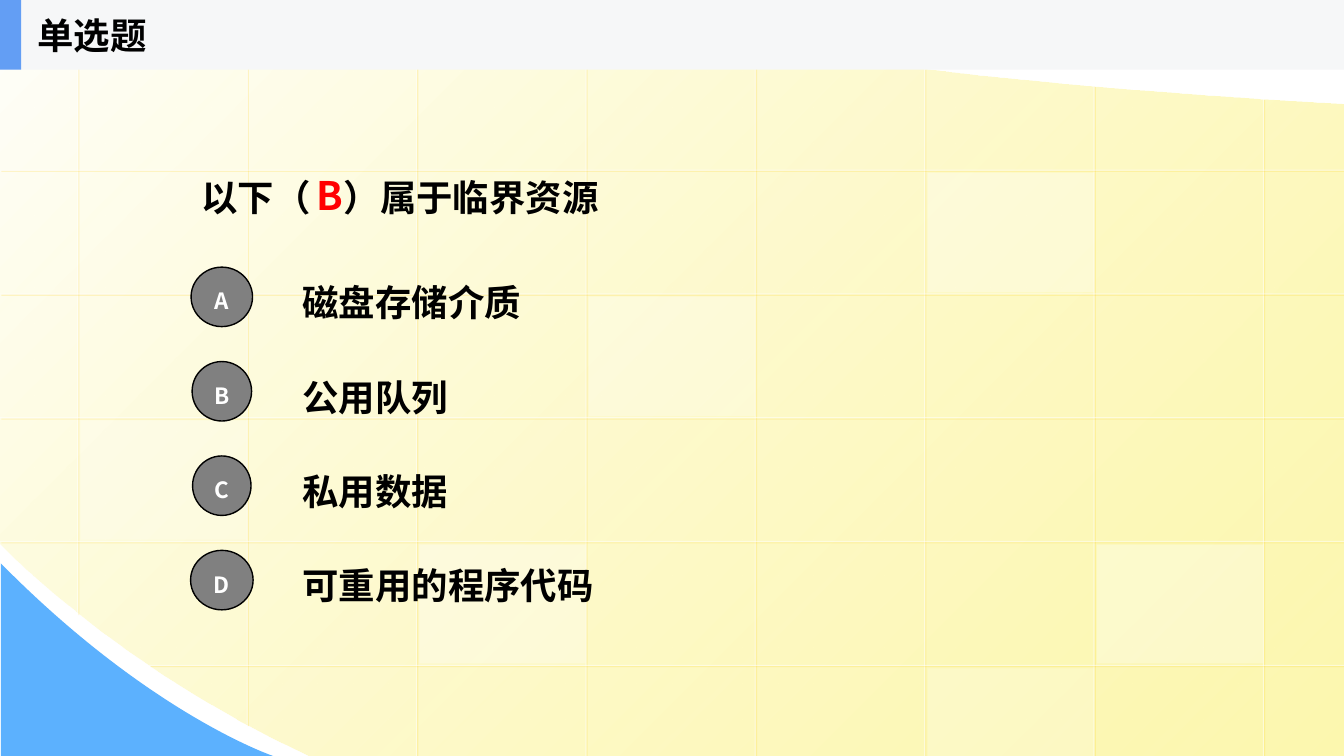
from dataclasses import dataclass

from lxml.etree import SubElement
from pptx import Presentation
from pptx.dml.color import RGBColor
from pptx.enum.shapes import MSO_CONNECTOR, MSO_SHAPE
from pptx.enum.text import MSO_ANCHOR, MSO_AUTO_SIZE, PP_ALIGN
from pptx.oxml.ns import qn
from pptx.shapes.base import BaseShape
from pptx.slide import Slide
from pptx.text.text import TextFrame, _Run
from pptx.util import Inches, Pt

WIDTH, HEIGHT = 13.33, 7.5
COLUMN, FIRST_COLUMN = 1.68, 0.77
FIRST_ROW, LAST_ROW = 0.46, 6.6
ROW = (LAST_ROW - FIRST_ROW) / 5
GUTTER = 0.03
HEADER_HEIGHT = 0.69
FIRST_BADGE, LAST_BADGE = 2.65, 5.46
BADGE_CENTER, BADGE_HEIGHT = 2.2, 0.59
FONT = "Noto Sans CJK SC"

Point = tuple[float, float]


@dataclass(frozen=True)
class Segment:
    end: Point
    controls: tuple[Point, ...] = ()


@dataclass(frozen=True)
class Tile:
    column: int
    row: int
    opacity: int


@dataclass(frozen=True)
class Option:
    letter: str
    text: str
    badge_width: float


PANEL = [Segment((0, 5.39)),
         Segment((3.07, HEIGHT), ((0, 5.39), (1.15, 6.61))),
         Segment((WIDTH, HEIGHT)),
         Segment((WIDTH, 1.04)),
         Segment((5.61, 0), ((7.15, 0.69), (5.61, 0.01)))]
CORNER = [Segment((0.01, HEIGHT)),
          Segment((2.71, HEIGHT)),
          Segment((0.01, 5.59), ((2.71, HEIGHT), (1.49, 7.09)))]
TILES = [Tile(3, 2, 25), Tile(6, 4, 30), Tile(0, 3, 20), Tile(5, 5, 20),
         Tile(2, 4, 30), Tile(5, 1, 30)]
COLUMN_SPANS = [(0, 6.09), (0, 7.19), (0, HEIGHT), (0, HEIGHT),
                (0.43, HEIGHT), (0.68, HEIGHT), (0.85, HEIGHT), (0.98, HEIGHT)]
ROW_STARTS = {1: 0, 2: 0, 3: 0, 4: 0, 5: 1.48}
OPTIONS = [Option("A", "磁盘存储介质", 0.61), Option("B", "公用队列", 0.59),
           Option("C", "私用数据", 0.58), Option("D", "可重用的程序代码", 0.62)]
OPTION_PITCH = (LAST_BADGE - FIRST_BADGE) / (len(OPTIONS) - 1)


def color(value: str) -> RGBColor:
    return RGBColor.from_string(value)


def column_left(column: int) -> float:
    return FIRST_COLUMN + column * COLUMN


def row_top(row: int) -> float:
    return FIRST_ROW + row * ROW


def set_opacity(shape: BaseShape, percent: int) -> None:
    last_color = shape.element.findall(".//" + qn("a:srgbClr"))[-1]
    SubElement(last_color, qn("a:alpha")).set("val", str(percent * 1000))


def add_outline(slide: Slide, start: Point, segments: list[Segment]) -> BaseShape:
    builder = slide.shapes.build_freeform(*map(Inches, start))
    builder.add_line_segments([tuple(map(Inches, segment.end)) for segment in segments], close=True)
    shape = builder.convert_to_shape()
    outline = shape.element.find(".//" + qn("a:path"))
    for segment, straight in zip(segments, outline.findall(qn("a:lnTo"))):
        if segment.controls:
            bend = SubElement(outline, qn("a:cubicBezTo"))
            for x, y in segment.controls + (segment.end,):
                SubElement(bend, qn("a:pt"), x=str(Inches(x) - shape.left), y=str(Inches(y) - shape.top))
            outline.replace(straight, bend)
    shape.shadow.inherit = False
    shape.line.fill.background()
    return shape


def add_filled(slide: Slide, kind: MSO_SHAPE, left: float, top: float,
               width: float, height: float, fill: str) -> BaseShape:
    shape = slide.shapes.add_shape(kind, Inches(left), Inches(top), Inches(width), Inches(height))
    shape.shadow.inherit = False
    shape.fill.solid()
    shape.fill.fore_color.rgb = color(fill)
    shape.line.fill.background()
    return shape


def add_grid_line(slide: Slide, start: Point, end: Point) -> None:
    line = slide.shapes.add_connector(MSO_CONNECTOR.STRAIGHT, *map(Inches, start + end))
    line.line.width = Pt(0.75)
    line.line.color.rgb = color("FFFFFF")
    set_opacity(line, 50)
    effects = SubElement(line.element.spPr, qn("a:effectLst"))
    shadow = SubElement(effects, qn("a:outerShdw"), blurRad="0", dist=str(Pt(1.4)), dir="2700000")
    SubElement(shadow, qn("a:srgbClr"), val="FFCC00")
    set_opacity(line, 34)


def format_run(run: _Run, size: float, fill: str) -> None:
    run.font.size = Pt(size)
    run.font.bold = True
    run.font.name = FONT
    run.font.color.rgb = color(fill)
    SubElement(run.font._element, qn("a:ea"), typeface=FONT)


def prepare_frame(frame: TextFrame, anchor: MSO_ANCHOR, wrap: bool) -> None:
    frame.auto_size = MSO_AUTO_SIZE.NONE
    frame.word_wrap = wrap
    frame.vertical_anchor = anchor


def place(shape: BaseShape, left: float, top: float, width: float, height: float) -> None:
    shape.left, shape.top = Inches(left), Inches(top)
    shape.width, shape.height = Inches(width), Inches(height)


def draw_background(slide: Slide) -> None:
    panel = add_outline(slide, (0, 0), PANEL)
    panel.fill.gradient()
    panel.fill.gradient_angle = 315
    for stop, position, value in zip(panel.fill.gradient_stops, (0, 1), ("FFFFFB", "FDF58D")):
        stop.position = position
        stop.color.rgb = color(value)
    set_opacity(panel, 70)

    corner = add_outline(slide, (0.01, 5.59), CORNER)
    corner.fill.solid()
    corner.fill.fore_color.rgb = color("5CB1FE")

    for column, (top, bottom) in enumerate(COLUMN_SPANS):
        add_grid_line(slide, (column_left(column), top), (column_left(column), bottom))
    for row, left in ROW_STARTS.items():
        add_grid_line(slide, (WIDTH, row_top(row)), (left, row_top(row)))
    for tile in TILES:
        top = row_top(tile.row) + GUTTER
        shape = add_filled(slide, MSO_SHAPE.RECTANGLE, column_left(tile.column) + GUTTER, top,
                           COLUMN - GUTTER, min(1.18, HEIGHT - top), "FFFFFF")
        set_opacity(shape, tile.opacity)


def draw_header(slide: Slide) -> None:
    for width, fill in ((WIDTH, "F6F7F8"), (0.21, "639EF4")):
        add_filled(slide, MSO_SHAPE.RECTANGLE, 0, 0, width, HEADER_HEIGHT, fill)
    title = slide.shapes.title
    slide.shapes.element.append(title.element)
    place(title, 0.27, 0, 2.08, HEADER_HEIGHT)
    title.text_frame.text = "单选题"
    prepare_frame(title.text_frame, MSO_ANCHOR.MIDDLE, False)
    paragraph = title.text_frame.paragraphs[0]
    paragraph.alignment = PP_ALIGN.LEFT
    format_run(paragraph.runs[0], 26, "000000")


def draw_question(slide: Slide) -> None:
    question = slide.shapes.add_textbox(Inches(1.9), Inches(1.64), Inches(4.52), Inches(0.5))
    prepare_frame(question.text_frame, MSO_ANCHOR.MIDDLE, False)
    paragraph = question.text_frame.paragraphs[0]
    paragraph.line_spacing = 1.3
    for text in ("以下（", " ", "）属于临界资源"):
        run = paragraph.add_run()
        run.text = text
        format_run(run, 26, "000000")
    paragraph.runs[1].font._element.set("spc", "1750")

    answer = slide.shapes.add_textbox(Inches(3.04), Inches(1.65), Inches(0.55), Inches(0.57))
    answer.text_frame.text = "B"
    prepare_frame(answer.text_frame, MSO_ANCHOR.TOP, True)
    format_run(answer.text_frame.paragraphs[0].runs[0], 28, "FF0000")


def draw_options(slide: Slide) -> None:
    answers = slide.placeholders[1]
    slide.shapes.element.append(answers.element)
    place(answers, 2.9, 2.65, 4.31, 3.6)
    answers.text_frame.text = "\n".join(option.text for option in OPTIONS)
    prepare_frame(answers.text_frame, MSO_ANCHOR.TOP, True)
    answers.text_frame.margin_top = answers.text_frame.margin_bottom = 0
    for paragraph in answers.text_frame.paragraphs:
        paragraph.line_spacing = 1.3
        paragraph.space_before = Pt(0)
        paragraph.space_after = Pt(26.9)
        properties = paragraph._p.get_or_add_pPr()
        properties.set("marL", "0")
        properties.set("indent", "0")
        SubElement(properties, qn("a:buNone"))
        format_run(paragraph.runs[0], 26, "000000")

    for index, option in enumerate(OPTIONS):
        badge = add_filled(slide, MSO_SHAPE.OVAL, BADGE_CENTER - option.badge_width / 2,
                           FIRST_BADGE + index * OPTION_PITCH, option.badge_width, BADGE_HEIGHT, "808080")
        badge.line.color.rgb = color("000000")
        badge.line.width = Pt(1)
        badge.text_frame.text = option.letter
        prepare_frame(badge.text_frame, MSO_ANCHOR.MIDDLE, False)
        paragraph = badge.text_frame.paragraphs[0]
        paragraph.alignment = PP_ALIGN.CENTER
        paragraph.line_spacing = 1.3
        format_run(paragraph.runs[0], 16, "FFFFFF")


def main() -> None:
    presentation = Presentation()
    presentation.slide_width, presentation.slide_height = Inches(WIDTH), Inches(HEIGHT)
    slide = presentation.slides.add_slide(presentation.slide_layouts[1])
    draw_background(slide)
    draw_header(slide)
    draw_question(slide)
    draw_options(slide)
    presentation.save("out.pptx")


if __name__ == "__main__":
    main()
